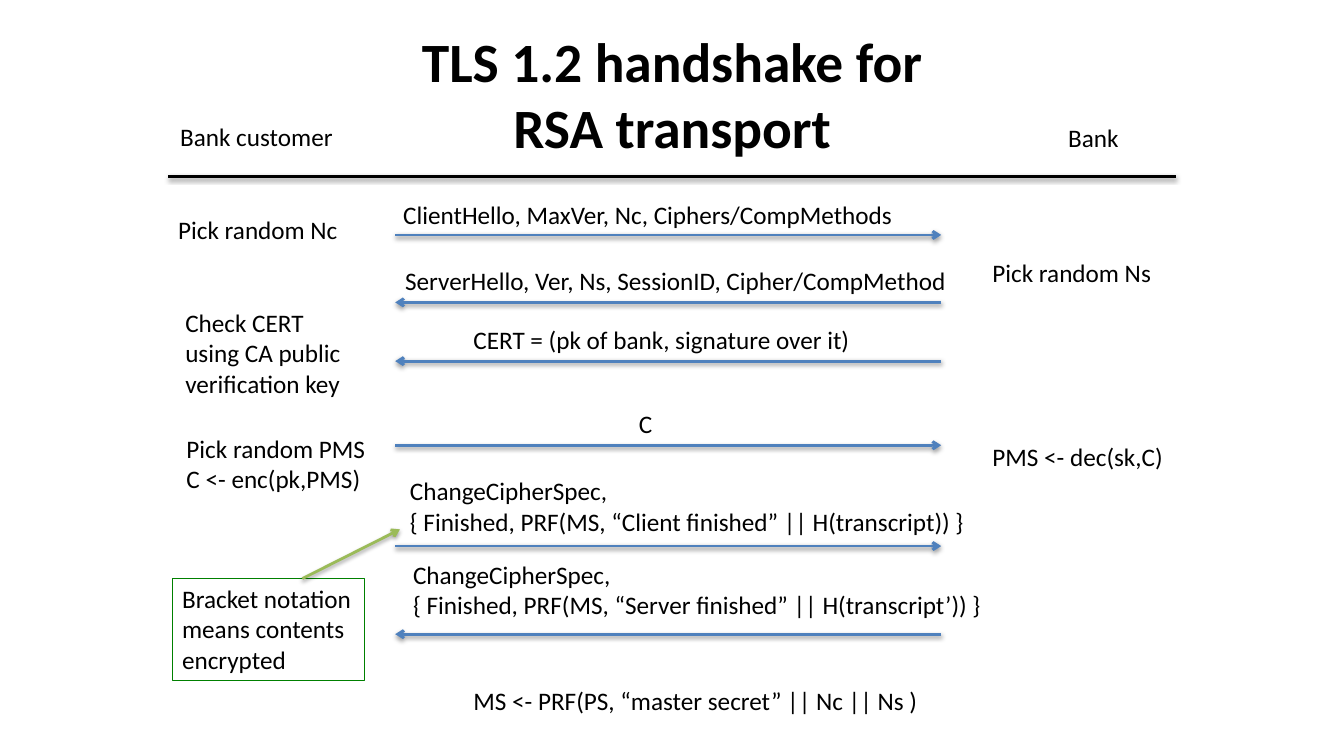
from lxml.etree import SubElement
from pptx import Presentation
from pptx.dml.color import RGBColor
from pptx.enum.shapes import MSO_CONNECTOR
from pptx.enum.text import MSO_ANCHOR, MSO_AUTO_SIZE, PP_ALIGN
from pptx.oxml.ns import qn
from pptx.util import Cm, Pt

BLACK = RGBColor(0x00, 0x00, 0x00)
BLUE = RGBColor(0x4F, 0x81, 0xBD)
LIME = RGBColor(0x9B, 0xBB, 0x59)
GREEN = RGBColor(0x00, 0x80, 0x00)
FONT = "Calibri"

# All lengths are in centimetres.
TITLE = "TLS 1.2 handshake for\vRSA transport"
# left, top, width, text
LABELS = [
    (4.29, 2.92, 4.42, "Bank customer"),
    (26.67, 2.97, 1.8, "Bank"),
    (4.24, 5.28, 4.57, "Pick random Nc"),
    (24.76, 6.35, 4.57, "Pick random Ns"),
    (4.42, 7.62, 4.47, "Check CERT\nusing CA public\nverification key"),
    (4.45, 10.8, 5.08, "Pick random PMS\nC <- enc(pk,PMS)"),
    (24.76, 11, 4.85, "PMS <- dec(sk,C)"),
    (11.68, 17.15, 11.81, "MS <- PRF(PS, “master secret” || Nc || Ns )"),
]
# arrow height, goes to the bank, then the label above it
MESSAGES = [
    (5.92, True, (9.91, 4.9, 13.23, "ClientHello, MaxVer, Nc, Ciphers/CompMethods")),
    (7.62, False, (9.96, 6.55, 14.45,
                   "ServerHello, Ver, Ns, SessionID, Cipher/CompMethod")),
    (9.1, False, (11.68, 8.05, 10.11, "CERT = (pk of bank, signature over it)")),
    (11.22, True, (15.85, 10.16, 0.86, "C")),
    (13.76, True, (10.08, 11.86, 14.94,
                   "ChangeCipherSpec,\n"
                   "{ Finished, PRF(MS, “Client finished” || H(transcript)) }")),
    (15.98, False, (10.16, 13.97, 15.29,
                    "ChangeCipherSpec,\n"
                    "{ Finished, PRF(MS, “Server finished” || H(transcript’)) }")),
]
NOTE = (4.34, 14.58, 4.85, "Bracket notation\nmeans contents\nencrypted")
NOTE_ARROW = (7.62, 14.58, 10.08, 13.34)
RULE = (4.24, 4.45, 29.64, 4.45)
CUSTOMER_X, BANK_X = 9.96, 23.72
PADDING, LINE_HEIGHT = 0.25, 0.77

prs = Presentation()
prs.slide_width, prs.slide_height = Cm(33.87), Cm(19.05)
s = prs.slides.add_slide(prs.slide_layouts[6])


def style(tf, size, bold=False):
    for p in tf.paragraphs:
        for r in p.runs:
            r.font.name = FONT
            r.font.size = Pt(size)
            r.font.bold = bold
            r.font.color.rgb = BLACK


def add_label(left, top, width, text):
    height = PADDING + LINE_HEIGHT * len(text.split("\n"))
    sp = s.shapes.add_textbox(Cm(left), Cm(top), Cm(width), Cm(height))
    tf = sp.text_frame
    tf.text = text
    tf.word_wrap = False
    tf.auto_size = MSO_AUTO_SIZE.SHAPE_TO_FIT_TEXT
    style(tf, 18)
    return sp


def add_line(x1, y1, x2, y2, color, arrow=True):
    """Draw a line that keeps the soft shadow of the theme."""
    line = s.shapes.add_connector(MSO_CONNECTOR.STRAIGHT,
                                  Cm(x1), Cm(y1), Cm(x2), Cm(y2)).line
    line.color.rgb = color
    line.width = Pt(2)
    if arrow:
        SubElement(line._get_or_add_ln(), qn("a:tailEnd"), type="arrow")


title = s.shapes.add_textbox(Cm(1.7), Cm(0.76), Cm(30.48), Cm(3.18))
tf = title.text_frame
tf.text = TITLE
tf.word_wrap = True
tf.vertical_anchor = MSO_ANCHOR.MIDDLE
tf.paragraphs[0].alignment = PP_ALIGN.CENTER
style(tf, 39.6, bold=True)

add_line(*RULE, BLACK, arrow=False)
for label in LABELS:
    add_label(*label)
for y, to_bank, label in MESSAGES:
    start, end = (CUSTOMER_X, BANK_X) if to_bank else (BANK_X, CUSTOMER_X)
    add_line(start, y, end, y, BLUE)
    add_label(*label)

note = add_label(*NOTE)
note.line.color.rgb = GREEN
note.line.width = Pt(0.75)
add_line(*NOTE_ARROW, LIME)

prs.save("out.pptx")
